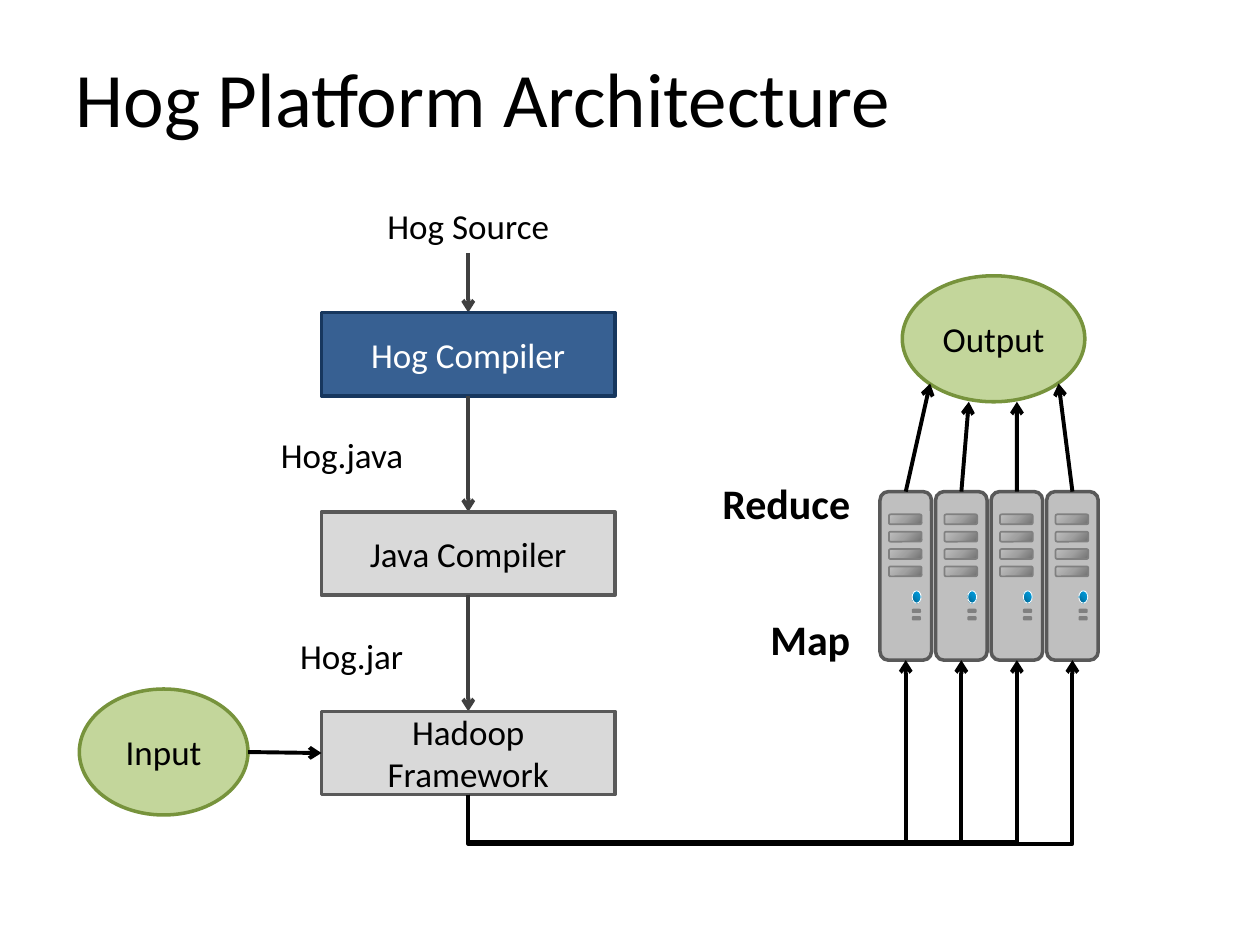
from lxml import etree
from pptx import Presentation
from pptx.dml.color import RGBColor
from pptx.enum.shapes import MSO_CONNECTOR as Connector, MSO_SHAPE as Preset
from pptx.enum.text import MSO_ANCHOR as Anchor, PP_ALIGN as Align
from pptx.oxml import parse_xml
from pptx.oxml.ns import nsdecls, qn
from pptx.util import Cm, Pt

FONT = "Calibri"
BLACK, WHITE, CHARCOAL = "000000", "FFFFFF", "404040"
GREY_STOPS = ((0, "717171"), (50, "A1A1A1"), (100, "BFBFBF"))
BLUE_STOPS = ((0, "006189"), (50, "008AC4"), (100, "00A4E8"))
DIAGONAL = '<a:lin ang="13500000" scaled="0"/>'
RADIAL = '<a:path path="circle"><a:fillToRect t="100000" r="100000"/></a:path>'


def color(hex_text):
    """Return the colour for a hex string."""
    return RGBColor.from_string(hex_text)


def write(shape, text, size=20, ink=BLACK, align=Align.CENTER, bold=False,
          anchor=Anchor.MIDDLE):
    """Put one formatted run of text into a shape."""
    frame = shape.text_frame
    frame.word_wrap = True
    frame.vertical_anchor = anchor
    paragraph = frame.paragraphs[0]
    paragraph.alignment = align
    run = paragraph.add_run()
    run.text = text
    run.font.name, run.font.size, run.font.bold = FONT, Pt(size), bold
    run.font.color.rgb = color(ink)


def add_preset(shapes, preset, box, fill, line, width=2):
    """Add a filled, outlined preset shape; box is in centimetres."""
    shape = shapes.add_shape(preset, *map(Cm, box))
    shape.shadow.inherit = False
    shape.fill.solid()
    shape.fill.fore_color.rgb = color(fill)
    shape.line.color.rgb = color(line)
    shape.line.width = Pt(width)
    return shape


def set_gradient(shape, stops, direction):
    """Replace the solid fill of a shape with a gradient."""
    stop_xml = "".join(
        f'<a:gs pos="{position * 1000}"><a:srgbClr val="{value}"/></a:gs>'
        for position, value in stops)
    gradient = parse_xml(f'<a:gradFill {nsdecls("a")} rotWithShape="1">'
                         f'<a:gsLst>{stop_xml}</a:gsLst>{direction}</a:gradFill>')
    properties = shape._element.spPr
    properties.replace(properties.find(qn("a:solidFill")), gradient)


def add_label(slide, text, box, **style):
    """Add a text box; box is in centimetres."""
    label = slide.shapes.add_textbox(*map(Cm, box))
    write(label, text, anchor=Anchor.TOP, **style)


def add_arrow(slide, start, end, ink=BLACK, kind=Connector.STRAIGHT):
    """Add a connector with an open arrowhead at its end."""
    arrow = slide.shapes.add_connector(kind, *map(Cm, (*start, *end)))
    arrow.line.color.rgb = color(ink)
    arrow.line.width = Pt(2.25)
    properties = arrow._element.spPr
    etree.SubElement(properties.find(qn("a:ln")), qn("a:tailEnd"), type="arrow")
    etree.SubElement(properties, qn("a:effectLst"))
    return arrow


def add_under_arrow(slide, start, end, drop):
    """Add an elbow arrow that runs down by drop, across and up to its end."""
    across, rise = end[0] - start[0], start[1] - end[1]
    middle_x, middle_y = (start[0] + end[0]) / 2, (start[1] + end[1]) / 2
    arrow = add_arrow(slide, (middle_x + rise / 2, middle_y + across / 2),
                      (middle_x - rise / 2, middle_y - across / 2),
                      kind=Connector.ELBOW)
    properties = arrow._element.spPr
    properties.find(qn("a:xfrm")).set("rot", "5400000")
    geometry = properties.find(qn("a:prstGeom"))
    adjustments = geometry.find(qn("a:avLst"))
    if adjustments is None:
        adjustments = etree.SubElement(geometry, qn("a:avLst"))
    etree.SubElement(adjustments, qn("a:gd"), name="adj1",
                     fmla=f"val {round(-drop / rise * 100000)}")


def add_title(slide, text, box):
    """Place and fill the title placeholder."""
    title = slide.shapes.title
    title.left, title.top, title.width, title.height = map(Cm, box)
    write(title, text, size=44, align=Align.LEFT)


def add_ellipse(slide, text, box):
    """Add a green data ellipse."""
    write(add_preset(slide.shapes, Preset.OVAL, box, "C3D69B", "77933C"), text)


def add_server(slide, left, top, width, height):
    """Add one server tower as a group."""
    shapes = slide.shapes.add_group_shape().shapes
    add_preset(shapes, Preset.ROUNDED_RECTANGLE, (left, top, width, height),
               "BFBFBF", "595959")
    for row in range(4):
        slot = add_preset(shapes, Preset.ROUNDED_RECTANGLE,
                          (left + 0.18, top + 0.46 + 0.35 * row, 0.66, 0.2),
                          "A1A1A1", "808080", 1)
        set_gradient(slot, GREY_STOPS, DIAGONAL)
    light = add_preset(shapes, Preset.OVAL, (left + 0.65, top + 2, 0.18, 0.25),
                       "008AC4", WHITE, 0.5)
    set_gradient(light, BLUE_STOPS, RADIAL)
    light._element.spPr.find(qn("a:xfrm")).set("flipH", "1")
    for row in range(2):
        add_preset(shapes, Preset.ROUNDED_RECTANGLE,
                   (left + 0.66, top + 2.38 + 0.15 * row, 0.15, 0.05),
                   "808080", "808080", 1)


def add_pipeline(slide, left, top, width, height, pitch):
    """Add the compiler column and return the bottom centre of its last box."""
    center = left + width / 2
    steps = (("Hog Compiler", "376092", "17375E", WHITE),
             ("Java Compiler", "D9D9D9", "595959", BLACK),
             ("Hadoop Framework", "D9D9D9", "595959", BLACK))
    add_label(slide, "Hog Source", (center - 2, top - 2.31, 4, 1.12))
    for index, (text, fill, line, ink) in enumerate(steps):
        box_top = top + index * pitch
        start = box_top - (pitch - height if index else 1.2)
        add_arrow(slide, (center, start), (center, box_top), CHARCOAL)
        box = add_preset(slide.shapes, Preset.RECTANGLE,
                         (left, box_top, width, height), fill, line)
        write(box, text, ink=ink)
    for index, text in enumerate(("Hog.java", "Hog.jar")):
        add_label(slide, text, (left - 5.21, top + 2.31 + index * 4.06, 7.11, 1.12),
                  align=Align.RIGHT)
    return center, top + 2 * pitch + height


def add_cluster(slide, left, top, source):
    """Add four servers, their labels, and arrows from source and to the output."""
    width, height, pitch = 1.04, 3.4, 1.12
    targets = ((18.75, 7.73), (19.53, 8.1), (20.5, 8.1), (21.34, 7.73))
    for index, target in enumerate(targets):
        server_left = left + index * pitch
        center = server_left + width / 2
        add_server(slide, server_left, top, width, height)
        add_arrow(slide, (center, top), target)
        add_under_arrow(slide, source, (center, top + height),
                        0.99 if index == 3 else 0.95)
    for text, offset in (("Reduce", -0.41), ("Map", 2.33)):
        add_label(slide, text, (left - 3.88, top + offset, 3.53, 1.27),
                  size=24, align=Align.RIGHT, bold=True)


def build():
    """Build and save the presentation."""
    presentation = Presentation()
    presentation.slide_width, presentation.slide_height = Cm(25.4), Cm(19.05)
    slide = presentation.slides.add_slide(presentation.slide_layouts[5])
    add_title(slide, "Hog Platform Architecture", (1.27, 0.36, 22.86, 3.18))
    add_ellipse(slide, "Input", (1.6, 13.89, 3.4, 2.54))
    add_ellipse(slide, "Output", (18.19, 5.56, 3.68, 2.54))
    source = add_pipeline(slide, 6.48, 6.3, 5.92, 1.68, 4.02)
    add_arrow(slide, (5, 15.16), (6.48, 15.18))
    add_cluster(slide, 17.74, 9.91, source)
    presentation.save("out.pptx")


build()
